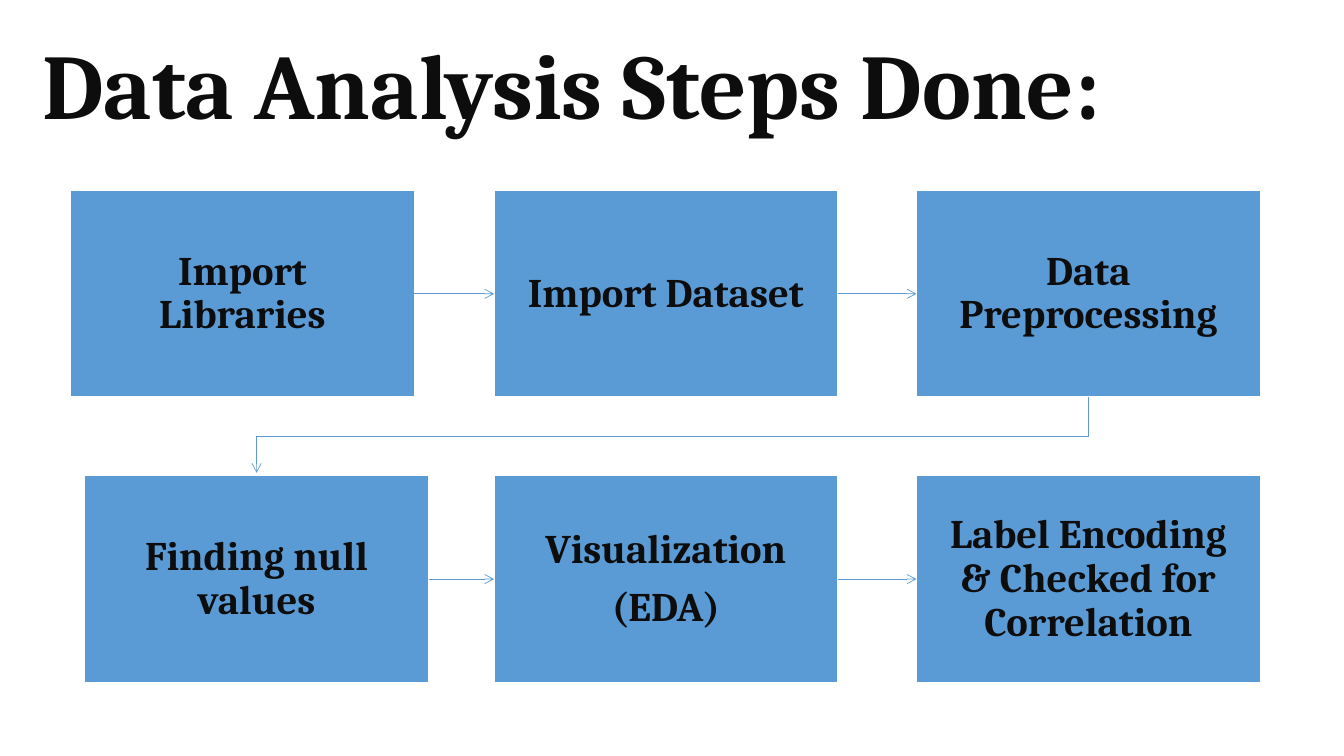
from lxml import etree
from pptx import Presentation
from pptx.dml.color import RGBColor
from pptx.enum import shapes, text
from pptx.oxml.ns import qn
from pptx.util import Inches, Pt

COLORS = {"ink": "0D0D0D", "box": "5B9BD5", "edge": "FFFFFF"}
FONT = "Cambria"
ROWS = [
    [(0, "Import Libraries"), (4.2, "Import Dataset"), (8.39, "Data Preprocessing")],
    [(0.14, "Finding null values"), (4.2, "Visualization\n(EDA)"),
     (8.39, "Label Encoding & Checked for Correlation")],
]
BOX_W, BOX_H, ROW_STEP = 3.41, 2.05, 2.83


def rgb(name):
    """Return the named palette colour."""
    return RGBColor.from_string(COLORS[name])


def write(tf, content, *, size, align, anchor, inset=None, spacing=1.0, after=0):
    """Fill a text frame, one paragraph per line of content."""
    tf.word_wrap = True
    tf.auto_size = text.MSO_AUTO_SIZE.NONE
    tf.vertical_anchor = anchor
    if inset is not None:
        tf.margin_left = tf.margin_right = Inches(inset)
        tf.margin_top = tf.margin_bottom = Inches(inset)
    for i, line in enumerate(content.split("\n")):
        p = tf.add_paragraph() if i else tf.paragraphs[0]
        p.alignment, p.line_spacing, p.space_after = align, spacing, Pt(after)
        r = p.add_run()
        r.text = line
        r.font.name, r.font.size, r.font.bold = FONT, Pt(size), True
        r.font.color.rgb = rgb("ink")


def style_arrow(sp):
    """Give a line its colour, width and open arrowhead."""
    sp.line.color.rgb = rgb("box")
    sp.line.width = Pt(0.5)
    etree.SubElement(sp.line._get_or_add_ln(), qn("a:tailEnd"), type="arrow")


def add_title(s, left, top, width, height):
    """Place the slide title in the given box."""
    sp = s.shapes.title
    sp.left, sp.top = Inches(left), Inches(top)
    sp.width, sp.height = Inches(width), Inches(height)
    write(sp.text_frame, "Data Analysis Steps Done:", size=66,
          align=text.PP_ALIGN.LEFT, anchor=text.MSO_ANCHOR.TOP)


def add_step(s, left, top, label):
    """Draw one step box with its label."""
    sp = s.shapes.add_shape(shapes.MSO_SHAPE.RECTANGLE, Inches(left), Inches(top),
                            Inches(BOX_W), Inches(BOX_H))
    sp.shadow.inherit = False
    sp.fill.solid()
    sp.fill.fore_color.rgb = rgb("box")
    sp.line.color.rgb = rgb("edge")
    sp.line.width = Pt(1)
    write(sp.text_frame, label, size=29, align=text.PP_ALIGN.CENTER,
          anchor=text.MSO_ANCHOR.MIDDLE, inset=0.23, spacing=0.9, after=10)
    return sp


def join_steps(s, first, second):
    """Link two neighbouring steps with a straight arrow."""
    sp = s.shapes.add_connector(shapes.MSO_CONNECTOR.STRAIGHT, 0, 0, 0, 0)
    sp.begin_connect(first, 3)
    sp.end_connect(second, 1)
    style_arrow(sp)
    etree.SubElement(sp._element.spPr, qn("a:effectLst"))


def join_rows(s, last, first):
    """Lead a bent arrow from the end of one row to the start of the next."""
    x1, x2 = (sp.left + sp.width // 2 for sp in (last, first))
    y1, y2 = last.top + last.height, first.top - Inches(0.03)
    mid = (y1 + first.top) // 2
    path = s.shapes.build_freeform(x1, y1)
    path.add_line_segments([(x1, mid), (x2, mid), (x2, y2)], close=False)
    sp = path.convert_to_shape()
    sp.shadow.inherit = False
    sp.fill.background()
    style_arrow(sp)


def add_flow(s, left, top):
    """Draw the rows of steps and the arrows between them."""
    rows = [[add_step(s, left + x, top + i * ROW_STEP, label) for x, label in row]
            for i, row in enumerate(ROWS)]
    for row in rows:
        for first, second in zip(row, row[1:]):
            join_steps(s, first, second)
    for upper, lower in zip(rows, rows[1:]):
        join_rows(s, upper[-1], lower[0])


def main():
    """Build the slide and save it."""
    prs = Presentation()
    prs.slide_width, prs.slide_height = Inches(13.33), Inches(7.5)
    s = prs.slides.add_slide(prs.slide_layouts[5])
    add_title(s, 0.32, 0.22, 12.31, 1.51)
    add_flow(s, 0.7, 1.89)
    prs.save("out.pptx")


if __name__ == "__main__":
    main()
